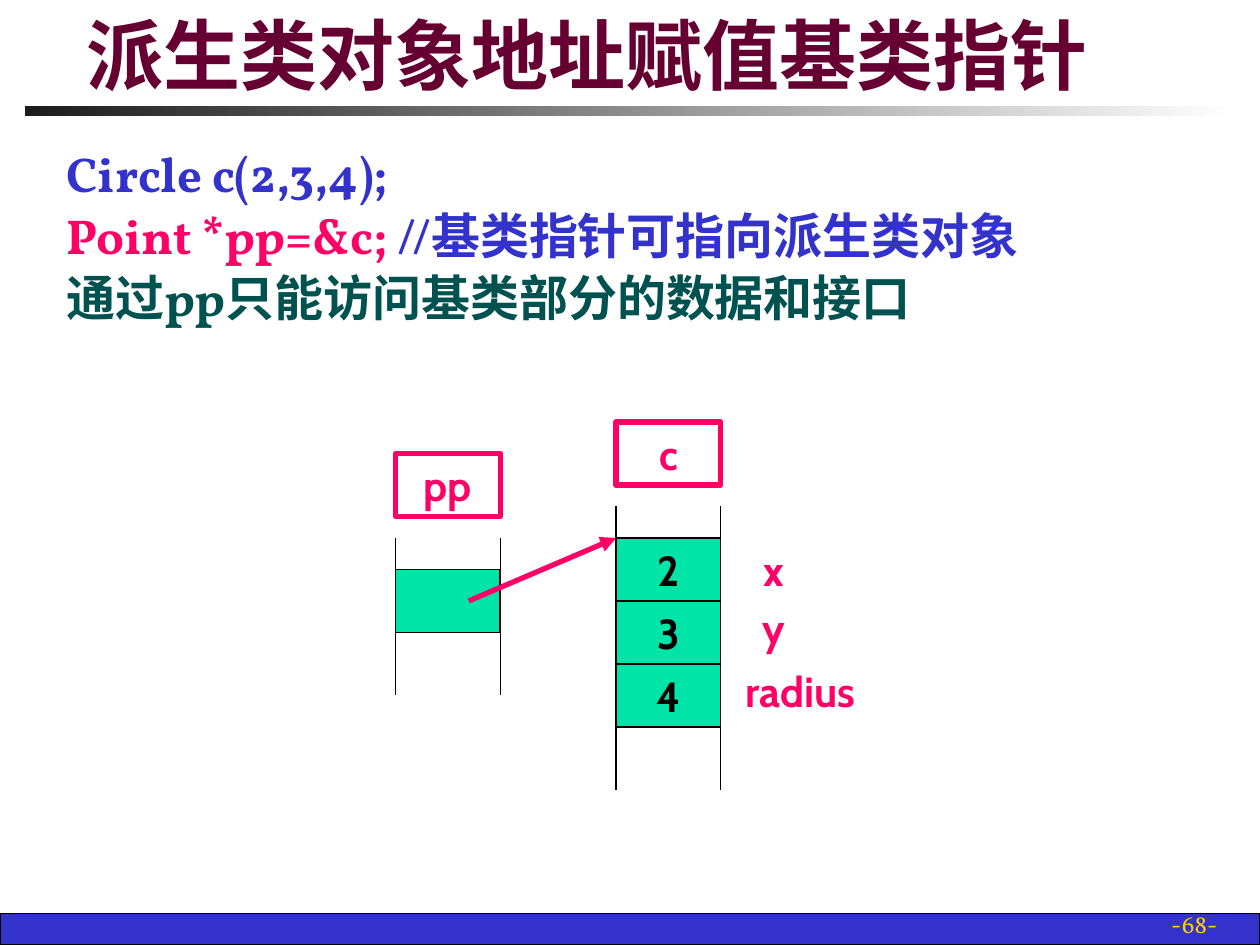
from pptx import Presentation
from pptx.dml.color import RGBColor
from pptx.enum.shapes import MSO_CONNECTOR, MSO_SHAPE
from pptx.enum.text import MSO_ANCHOR, PP_ALIGN
from pptx.oxml.ns import qn
from pptx.util import Inches, Pt
from lxml.etree import SubElement

# Content
TITLE = "派生类对象地址赋值基类指针"
BODY = [
    [("Circle c(2,3,4);", "3333CC")],
    [("Point *pp=&c; ", "FF0066"), ("//基类指针可指向派生类对象", "3333CC")],
    [("通过pp只能访问基类部分的数据和接口", "005250")],
]
# Memory columns: name, left, name top, rail top, rail end, cell texts
STACKS = [
    ("c", 4.89, 3.35, 4.02, 6.27, ["2", "3", "4"]),
    ("pp", 3.14, 3.6, 4.27, 5.52, [""]),
]
# Field names: text, width, height
FIELDS = [("x", 0.67, 0.5), ("y", 0.67, 0.42), ("radius", 1.08, 0.42)]
CELL_W, CELL_H, GAP = 0.83, 0.5, 0.25
PINK, GREEN, BLACK = "FF0066", "00E4A8", "000000"

# Text formats
HEAD = {"size": Pt(44), "name": "Comic Neue", "bold": True}
CODE = {"size": Pt(28), "name": "Vollkorn", "bold": True}
LABEL = {"size": Pt(24), "name": "Cabin", "bold": True}
PAGE = {"size": Pt(14), "name": "Vollkorn", "bold": False}


def rgb(code):
    return RGBColor.from_string(code)


def write(par, text, color, form):
    run = par.add_run()
    run.text = text
    for key, val in form.items():
        setattr(run.font, key, val)
    run.font.color.rgb = rgb(color)


def setup(shape, anchor, wrap=True):
    frame = shape.text_frame
    frame.word_wrap = wrap
    frame.vertical_anchor = anchor
    return frame.paragraphs[0]


def text_box(home, *at):
    return home.add_textbox(*map(Inches, at))


def center(shape, text, color):
    par = setup(shape, MSO_ANCHOR.MIDDLE, False)
    par.alignment = PP_ALIGN.CENTER
    if text:
        write(par, text, color, LABEL)


def rect(home, at, fill=None, line=None, width=0.75):
    shape = home.add_shape(MSO_SHAPE.RECTANGLE, *map(Inches, at))
    shape.shadow.inherit = False
    if fill:
        shape.fill.solid()
        shape.fill.fore_color.rgb = rgb(fill)
    else:
        shape.fill.background()
    if line:
        shape.line.color.rgb = rgb(line)
        shape.line.width = Pt(width)
    else:
        shape.line.fill.background()
    return shape


def link(home, ends, color, width):
    line = home.add_connector(MSO_CONNECTOR.STRAIGHT, *map(Inches, ends))
    line.line.color.rgb = rgb(color)
    line.line.width = Pt(width)
    SubElement(line._element.spPr, qn("a:effectLst"))
    return line


deck = Presentation()
deck.slide_width, deck.slide_height = Inches(10), Inches(7.5)
slide = deck.slides.add_slide(deck.slide_layouts[6])
shapes = slide.shapes

# Footer bar, title rule and page number
rect(shapes, (0, 7.25, 10, 0.25), "3333CC", BLACK)
rule = rect(shapes, (0.2, 0.84, 9.61, 0.08))
rule.fill.gradient()
rule.fill.gradient_angle = 0
for stop, color in zip(rule.fill.gradient_stops, ("1C1C1C", "FFFFFF")):
    stop.color.rgb = rgb(color)
par = setup(text_box(shapes, 7.68, 7.17, 2.08, 0.33), MSO_ANCHOR.BOTTOM)
par.alignment = PP_ALIGN.RIGHT
write(par, "-68-", "FFCF01", PAGE)

# Title and body
par = setup(text_box(shapes, 0.59, 0.13, 8.72, 0.71), MSO_ANCHOR.BOTTOM)
write(par, TITLE, "660033", HEAD)
body = text_box(shapes, 0.43, 1.09, 9.14, 5.65)
par = setup(body, MSO_ANCHOR.TOP)
for row, runs in enumerate(BODY):
    if row:
        par = body.text_frame.add_paragraph()
        par.space_before = Pt(1.75)
    for text, color in runs:
        write(par, text, color, CODE)

# Memory columns
for name, left, top, start, end, cells in STACKS:
    home = shapes.add_group_shape().shapes
    center(rect(home, (left, top, CELL_W, CELL_H), None, PINK, 3), name, PINK)
    for x in (left, left + CELL_W):
        link(home, (x, start, x, end), BLACK, 0.75)
    for row, text in enumerate(cells):
        y = start + GAP + row * CELL_H
        center(rect(home, (left, y, CELL_W, CELL_H), GREEN, BLACK), text, BLACK)
    if name == "c":
        for row, (text, wide, high) in enumerate(FIELDS):
            y = start + GAP + row * CELL_H
            center(text_box(home, 5.81, y, wide, high), text, PINK)

# Pointer arrow
arrow = link(shapes, (3.72, 4.77, 4.89, 4.27), PINK, 3)
SubElement(arrow.line._get_or_add_ln(), qn("a:tailEnd"), type="triangle")

deck.save("out.pptx")
